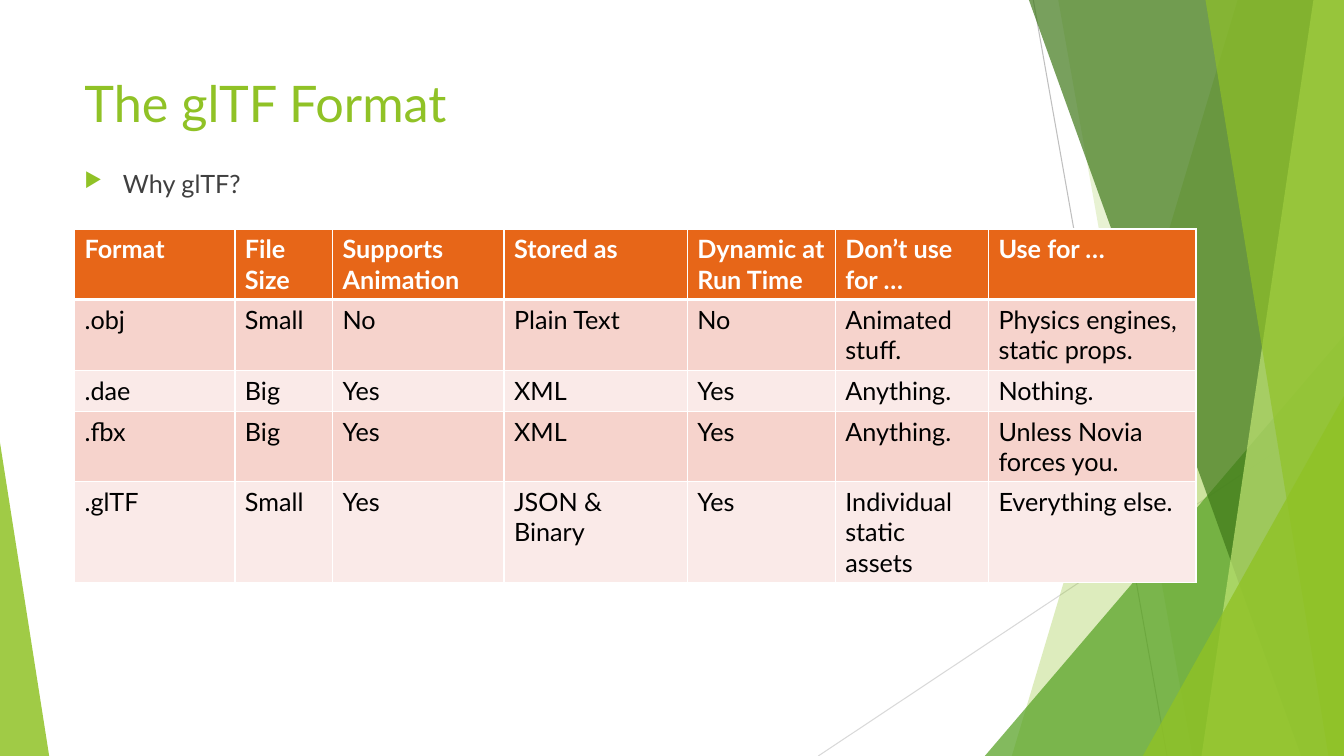
from lxml import etree
from pptx import Presentation
from pptx import util as u
from pptx.dml.color import RGBColor
from pptx.enum import shapes, text
from pptx.oxml import ns

Cm, Pt = u.Cm, u.Pt
WIDE, HIGH = 33.87, 19.05
FONT = "Lato"
HUE = {
    "lime": "90C226", "green": "54A021", "dark": "3F7819", "pale": "C0E474",
    "gray": "BFBFBF", "mist": "D9D9D9", "body": "404040", "black": "000000",
    "white": "FFFFFF", "head": "E76618", "odd": "F6D3CC", "even": "FAEAE8",
}

# Left edge of each band: x at the top, x at the bottom, colour, opacity
BANDS_LOW = [(31.19, 25.5, "lime", 30), (26.67, 30.05, "lime", 20)]
BANDS_HIGH = [(25.93, 32.79, "dark", 70), (33.1, 30.28, "pale", 70),
              (30.38, 33.48, "lime", 65)]

COLS = [4.04, 2.46, 4.32, 4.62, 3.73, 3.86, 5.23]
ROWS = [1.78, 1.78, 1.03, 1.78, 2.54]
CELLS = [
    ["Format", "File Size", "Supports Animation", "Stored as",
     "Dynamic at Run Time", "Don’t use for …", "Use for …"],
    [".obj", "Small", "No", "Plain Text", "No", "Animated stuff.",
     "Physics engines, static props."],
    [".dae", "Big", "Yes", "XML", "Yes", "Anything.", "Nothing."],
    [".fbx", "Big", "Yes", "XML", "Yes", "Anything.",
     "Unless Novia forces you."],
    [".glTF", "Small", "Yes", "JSON & Binary", "Yes",
     "Individual static assets", "Everything else."],
]


def rgb(name):
    return RGBColor.from_string(HUE[name])


def add(parent, tag, **attrs):
    return etree.SubElement(parent, ns.qn(tag), attrs)


def paint(shape, hue, alpha):
    shape.shadow.inherit = False
    shape.fill.solid()
    shape.fill.fore_color.rgb = rgb(hue)
    shape.line.fill.background()
    color = shape.fill._xPr.find(ns.qn("a:solidFill"))[0]
    add(color, "a:alpha", val=str(alpha * 1000))


def add_line(slide, x1, y1, x2, y2, hue):
    line = slide.shapes.add_connector(
        shapes.MSO_CONNECTOR.STRAIGHT, Cm(x1), Cm(y1), Cm(x2), Cm(y2))
    line.line.color.rgb = rgb(hue)
    line.line.width = Pt(0.75)
    add(line._element.spPr, "a:effectLst")


def add_band(slide, top, base, hue, alpha):
    pen = slide.shapes.build_freeform(Cm(top), 0)
    pen.add_line_segments([(Cm(WIDE), 0), (Cm(WIDE), Cm(HIGH)),
                           (Cm(base), Cm(HIGH))], close=True)
    paint(pen.convert_to_shape(), hue, alpha)


def add_wedge(slide, left, top, width, tip, hue, alpha):
    wedge = slide.shapes.add_shape(
        shapes.MSO_SHAPE.ISOSCELES_TRIANGLE,
        Cm(left), Cm(top), Cm(width), Cm(HIGH - top))
    wedge.adjustments[0] = tip
    paint(wedge, hue, alpha)


def style(para, size, hue, bold=False):
    for run in para.runs:
        font = run.font
        font.name, font.size, font.bold = FONT, Pt(size), bold
        font.color.rgb = rgb(hue)


def add_text(slide, words, top, width, height, size, hue):
    box = slide.shapes.add_textbox(Cm(1.88), Cm(top), Cm(width), Cm(height))
    frame = box.text_frame
    frame.word_wrap = True
    frame.vertical_anchor = text.MSO_ANCHOR.TOP
    frame.text = words
    para = frame.paragraphs[0]
    style(para, size, hue)
    return para


def add_bullet(para):
    props = para._p.get_or_add_pPr()
    indent = Cm(0.97)
    props.set("marL", str(indent))
    props.set("indent", str(-indent))
    add(add(props, "a:buClr"), "a:srgbClr", val=HUE["lime"])
    add(props, "a:buSzPct", val="80000")
    add(props, "a:buChar", char="▶")


def add_rules(cell, row):
    props = cell._tc.get_or_add_tcPr()
    # The rule below the header is thicker
    wide = {"T": 3 if row == 1 else 1, "B": 3 if row == 0 else 1}
    for side in "LRTB":
        rule = add(props, f"a:ln{side}", w=str(Pt(wide.get(side, 1))))
        add(add(rule, "a:solidFill"), "a:srgbClr", val=HUE["white"])


def add_grid(slide):
    grid = slide.shapes.add_table(
        len(ROWS), len(COLS), Cm(1.88), Cm(5.77),
        Cm(sum(COLS)), Cm(sum(ROWS))).table
    for col, width in zip(grid.columns, COLS):
        col.width = Cm(width)
    for r, (height, words) in enumerate(zip(ROWS, CELLS)):
        grid.rows[r].height = Cm(height)
        fill = "head" if r == 0 else "odd" if r % 2 else "even"
        for c, word in enumerate(words):
            cell = grid.cell(r, c)
            add_rules(cell, r)
            cell.fill.solid()
            cell.fill.fore_color.rgb = rgb(fill)
            cell.text_frame.text = word
            style(cell.text_frame.paragraphs[0], 18,
                  "black" if r else "white", r == 0)


def main():
    deck = Presentation()
    deck.slide_width, deck.slide_height = Cm(WIDE), Cm(HIGH)
    slide = deck.slides.add_slide(deck.slide_layouts[6])

    # Facets, from back to front
    add_line(slide, 26.04, 0, 29.41, HIGH, "gray")
    add_line(slide, WIDE, 10.24, 20.62, HIGH, "mist")
    for band in BANDS_LOW:
        add_band(slide, *band)
    add_wedge(slide, 24.82, 8.46, 9.05, 1, "green", 72)
    for band in BANDS_HIGH:
        add_band(slide, *band)
    add_wedge(slide, 28.8, 9.98, 5.07, 1, "lime", 80)
    add_wedge(slide, 0, 11.15, 1.24, 0, "lime", 85)

    # Title and question
    add_text(slide, "The glTF Format", 1.7, 23.88, 3.66, 36, "lime")
    add_bullet(add_text(slide, "Why glTF?", 4.11, 9.19, 1.24, 18, "body"))

    # Comparison of formats
    add_grid(slide)
    deck.save("out.pptx")


if __name__ == "__main__":
    main()
